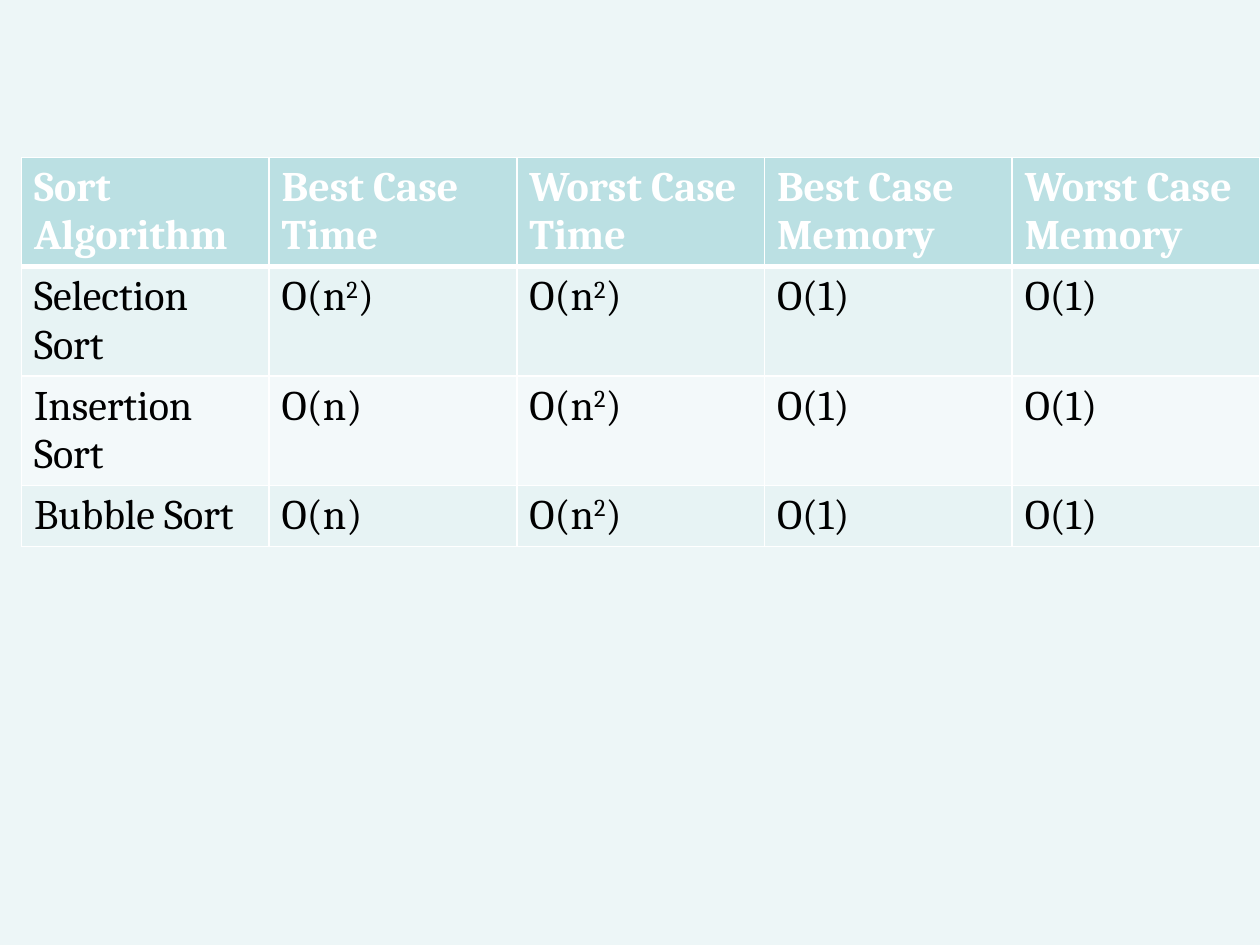
from dataclasses import dataclass

from lxml.etree import SubElement
from pptx import Presentation
from pptx.dml.color import RGBColor
from pptx.oxml.ns import qn
from pptx.util import Inches, Pt


@dataclass(frozen=True)
class Theme:
    font: str = "Cambria"
    size: int = 24
    back: str = "EDF6F7"
    head: str = "BBE0E3"
    bands: tuple = ("E7F3F4", "F3F9FA")
    light: str = "FFFFFF"
    dark: str = "000000"
    thin: int = 1
    thick: int = 3


THEME = Theme()
SQUARE = "O(n^2^)"
ROWS = [
    ["Sort Algorithm", "Best Case Time", "Worst Case Time",
     "Best Case Memory", "Worst Case Memory"],
    ["Selection Sort", SQUARE, SQUARE, "O(1)", "O(1)"],
    ["Insertion Sort", "O(n)", SQUARE, "O(1)", "O(1)"],
    ["Bubble Sort", "O(n)", SQUARE, "O(1)", "O(1)"],
]


def paint(fill, color):
    fill.solid()
    fill.fore_color.rgb = RGBColor.from_string(color)


def write(frame, text, color=THEME.dark, bold=False):
    """Write text, raising the parts between a pair of carets."""
    for i, part in enumerate(text.split("^")):
        run = frame.paragraphs[0].add_run()
        run.text = part
        font = run.font
        font.name, font.size, font.bold = THEME.font, Pt(THEME.size), bold
        font.color.rgb = RGBColor.from_string(color)
        if i % 2:
            font._element.set("baseline", "30000")


def edge(cell, top, bottom):
    """Draw the four cell borders; call before the cell is filled."""
    props = cell._tc.get_or_add_tcPr()
    widths = {"L": THEME.thin, "R": THEME.thin, "T": top, "B": bottom}
    for side, width in widths.items():
        line = SubElement(props, qn(f"a:ln{side}"), w=str(Pt(width)))
        fill = SubElement(line, qn("a:solidFill"))
        SubElement(fill, qn("a:srgbClr"), val=THEME.light)


def add_grid(slide, rows, left, top, width, height):
    """Add a table with equal columns, a header row and banded body rows."""
    table = slide.shapes.add_table(
        len(rows), len(rows[0]), left, top, width, height).table
    for r, row in enumerate(rows):
        head = r == 0
        color = THEME.head if head else THEME.bands[(r - 1) % 2]
        for c, text in enumerate(row):
            cell = table.cell(r, c)
            edge(cell, THEME.thick if r == 1 else THEME.thin,
                 THEME.thick if head else THEME.thin)
            paint(cell.fill, color)
            write(cell.text_frame, text, bold=head,
                  color=THEME.light if head else THEME.dark)


def main():
    deck = Presentation()
    deck.slide_width, deck.slide_height = Inches(10), Inches(7.5)
    slide = deck.slides.add_slide(deck.slide_layouts[6])
    paint(slide.background.fill, THEME.back)
    add_grid(slide, ROWS, Inches(0.17), Inches(1.25),
             Inches(9.83), Inches(1.64))
    deck.save("out.pptx")


if __name__ == "__main__":
    main()
